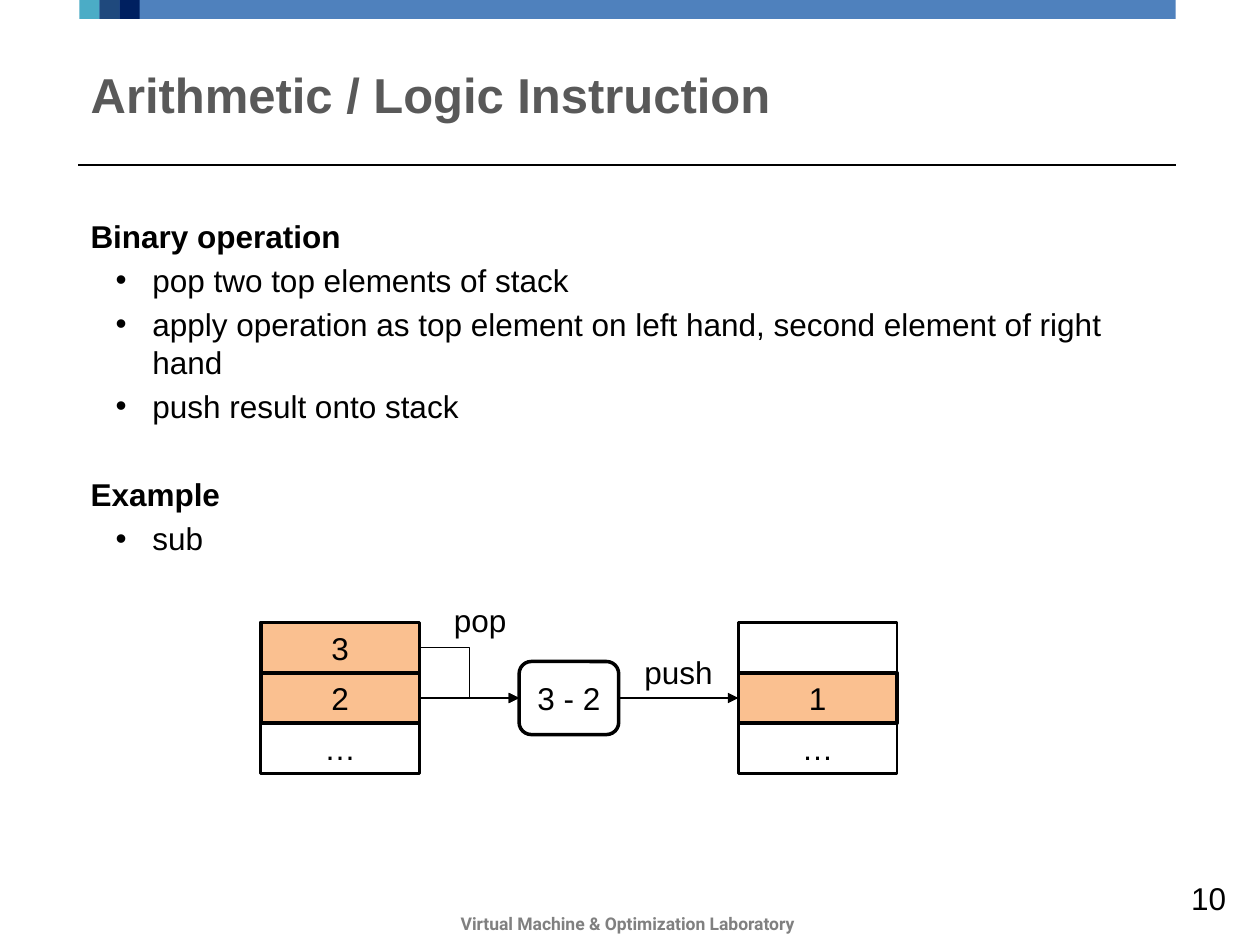
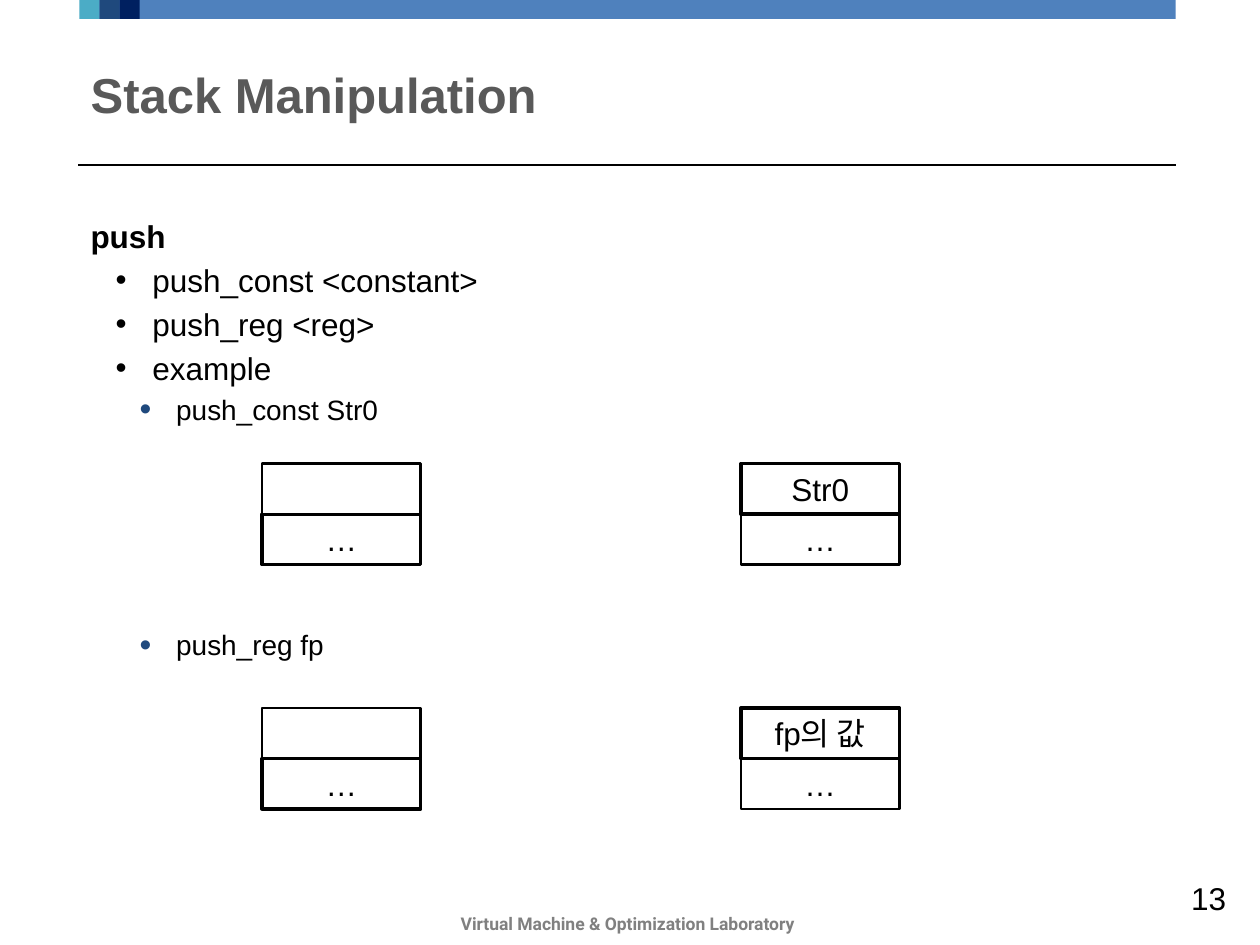
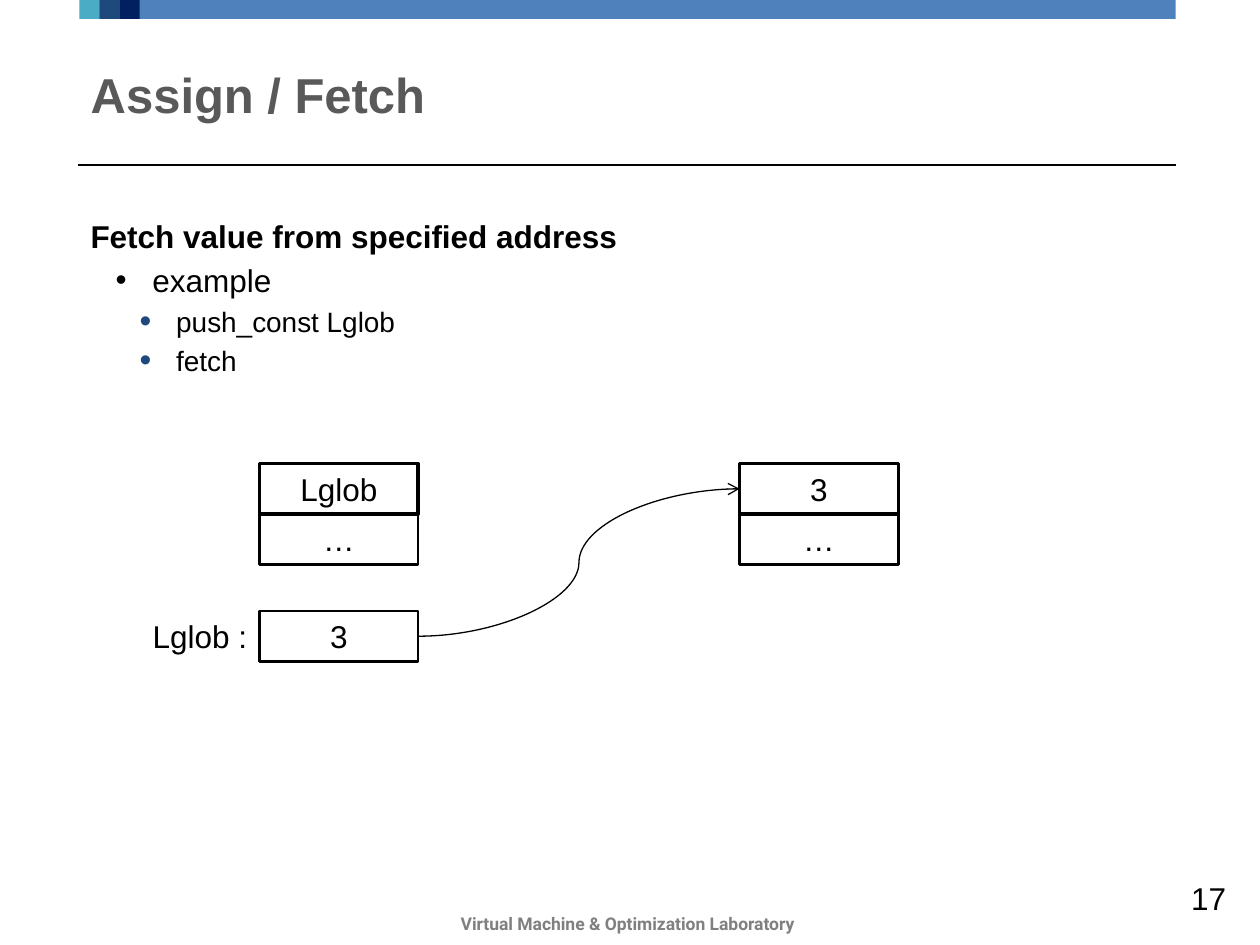
import pptx
import pptx.util
import pptx.dml.color
import pptx.enum.shapes
import pptx.enum.text
import pptx.oxml.ns
from lxml import etree

Inches = pptx.util.Inches
Pt = pptx.util.Pt
RGBColor = pptx.dml.color.RGBColor
SHAPE = pptx.enum.shapes.MSO_SHAPE
CONNECTOR = pptx.enum.shapes.MSO_CONNECTOR
ALIGN = pptx.enum.text.PP_ALIGN
ANCHOR = pptx.enum.text.MSO_ANCHOR
qn = pptx.oxml.ns.qn

BLACK = RGBColor(0x00, 0x00, 0x00)
WHITE = RGBColor(0xFF, 0xFF, 0xFF)
TITLE_GRAY = RGBColor(0x59, 0x59, 0x59)
FOOTER_GRAY = RGBColor(0x80, 0x80, 0x80)
BLUE = RGBColor(0x4F, 0x81, 0xBD)
NAVY = RGBColor(0x00, 0x20, 0x60)
DARK_BLUE = RGBColor(0x1F, 0x49, 0x7D)
TEAL = RGBColor(0x4B, 0xAC, 0xC6)
ORANGE = RGBColor(0xFA, 0xC0, 0x90)

FOOTER = "Virtual Machine & Optimization Laboratory"
LEFT, CONTENT_WIDTH = 0.62, 8.71
SQUARE = 0.16
CELL_WIDTH, CELL_HEIGHT = 1.26, 0.4
THIN, THICK = 1.5, 2
LEFT_SITE, RIGHT_SITE = 1, 3

# Left margin in inches, text size, bold, bullet colour for each outline level
LEVELS = [(0, 18, True, None), (0.49, 18, False, BLACK), (0.68, 16, False, DARK_BLUE)]
HANGING = -0.29


def write(paragraph, text, size=18, font="Arial", color=BLACK, bold=False, align=ALIGN.LEFT):
    """Add formatted text to a paragraph."""
    paragraph.alignment = align
    run = paragraph.add_run()
    run.text = text
    run.font.size = Pt(size)
    run.font.name = font
    run.font.bold = bold
    run.font.color.rgb = color


def set_outline_format(paragraph, level):
    """Give a paragraph its proportional spacing, indent and bullet."""
    margin, _, _, bullet_color = LEVELS[level]
    properties = paragraph._p.get_or_add_pPr()
    if paragraph.space_before is None:
        spacing = etree.SubElement(properties, qn("a:spcBef"))
        etree.SubElement(spacing, qn("a:spcPct"), val="20000")
    if bullet_color is None:
        return
    properties.set("marL", str(Inches(margin)))
    properties.set("indent", str(Inches(HANGING)))
    color = etree.SubElement(properties, qn("a:buClr"))
    etree.SubElement(color, qn("a:srgbClr"), val=str(bullet_color))
    if level == 2:
        etree.SubElement(properties, qn("a:buSzPct"), val="120000")
    etree.SubElement(properties, qn("a:buFont"), typeface="Arial")
    etree.SubElement(properties, qn("a:buChar"), char="•")


class Deck:
    """Holds the presentation, its style and the current slide."""

    def __init__(self):
        """Start an empty presentation."""
        self.presentation = pptx.Presentation()
        self.presentation.slide_width = Inches(10)
        self.presentation.slide_height = Inches(7.5)
        self.slide = None

    def add_slide(self, title, number):
        """Add a slide with its bands, rule, title, footer and number."""
        self.slide = self.presentation.slides.add_slide(self.presentation.slide_layouts[5])
        self.box(0.65, -0.01, 8.68, SQUARE, fill=BLUE)
        for index, color in enumerate([TEAL, DARK_BLUE, NAVY]):
            self.box(0.63 + index * SQUARE, -0.01, SQUARE, SQUARE, fill=color)
        rule = self.slide.shapes.add_connector(
            CONNECTOR.STRAIGHT, Inches(LEFT), Inches(1.31),
            Inches(LEFT + CONTENT_WIDTH), Inches(1.31))
        self.style_line(rule)
        self.title(title)
        self.text(2.93, 7.2, 4.1, 0.27, FOOTER, wrap=True, size=10, font="Roboto",
                  color=FOOTER_GRAY, bold=True, align=ALIGN.CENTER)
        self.text(9.33, 6.93, 0.5, 0.4, str(number), align=ALIGN.RIGHT)

    def title(self, text):
        """Place and format the title placeholder."""
        shape = self.slide.shapes.title
        shape.left, shape.top = Inches(LEFT), Inches(0.37)
        shape.width, shape.height = Inches(CONTENT_WIDTH), Inches(0.75)
        frame = shape.text_frame
        frame.auto_size = pptx.enum.text.MSO_AUTO_SIZE.NONE
        frame.vertical_anchor = ANCHOR.MIDDLE
        write(frame.paragraphs[0], text, size=28, color=TITLE_GRAY, bold=True)

    def text(self, left, top, width, height, text, wrap=False, **text_format):
        """Add a one-paragraph text box."""
        shape = self.slide.shapes.add_textbox(
            Inches(left), Inches(top), Inches(width), Inches(height))
        shape.text_frame.word_wrap = wrap
        write(shape.text_frame.paragraphs[0], text, **text_format)

    def outline(self, items):
        """Add the body text from (level, text, optional points before) items."""
        shape = self.slide.shapes.add_textbox(
            Inches(LEFT), Inches(1.67), Inches(CONTENT_WIDTH), Inches(5.33))
        frame = shape.text_frame
        frame.word_wrap = True
        for index, (level, text, *gap) in enumerate(items):
            paragraph = frame.add_paragraph() if index else frame.paragraphs[0]
            paragraph.level = level
            if gap:
                paragraph.space_before = Pt(gap[0])
            set_outline_format(paragraph, level)
            _, size, bold, _ = LEVELS[level]
            write(paragraph, text, size=size, bold=bold)

    def box(self, left, top, width, height, text="", fill=WHITE, line=None,
            kind=SHAPE.RECTANGLE, anchor=ANCHOR.TOP, wrap=True, align=ALIGN.CENTER):
        """Add a filled shape; line is the outline width in points."""
        shape = self.slide.shapes.add_shape(
            kind, Inches(left), Inches(top), Inches(width), Inches(height))
        shape.shadow.inherit = False
        shape.fill.solid()
        shape.fill.fore_color.rgb = fill
        if line:
            shape.line.color.rgb = BLACK
            shape.line.width = Pt(line)
        else:
            shape.line.fill.background()
        if text:
            shape.text_frame.word_wrap = wrap
            shape.text_frame.vertical_anchor = anchor
            write(shape.text_frame.paragraphs[0], text, align=align)
        return shape

    def stack(self, left, top, cells):
        """Add a column of (text, fill, line) cells; return them from the top down."""
        shapes = []
        for row, (text, fill, line) in reversed(list(enumerate(cells))):
            shapes.insert(0, self.box(left, top + row * CELL_HEIGHT, CELL_WIDTH,
                                      CELL_HEIGHT, text, fill, line))
        return shapes

    def style_line(self, connector, head=None):
        """Make a connector thin and black, with an optional arrowhead."""
        connector.line.color.rgb = BLACK
        connector.line.width = Pt(0.75)
        if head:
            etree.SubElement(connector.line._get_or_add_ln(), qn("a:tailEnd"), type=head)
        etree.SubElement(connector._element.spPr, qn("a:effectLst"))

    def arrow(self, source, target, kind=CONNECTOR.ELBOW, head="triangle"):
        """Join the right side of one shape to the left side of another."""
        connector = self.slide.shapes.add_connector(
            kind, source.left + source.width, source.top + source.height // 2,
            target.left, target.top + target.height // 2)
        connector.begin_connect(source, RIGHT_SITE)
        connector.end_connect(target, LEFT_SITE)
        self.style_line(connector, head)


def arithmetic_slide(deck):
    """Build the slide on binary operations."""
    deck.add_slide("Arithmetic / Logic Instruction", 10)
    deck.outline([
        (0, "Binary operation"),
        (1, "pop two top elements of stack"),
        (1, "apply operation as top element on left hand, second element of right hand"),
        (1, "push result onto stack"),
        (0, "Example", 29),
        (1, "sub"),
    ])
    first, second, _ = deck.stack(
        2.07, 4.94, [("3", ORANGE, THICK), ("2", ORANGE, THICK), ("…", WHITE, THIN)])
    _, result, _ = deck.stack(
        5.86, 4.94, [("", WHITE, THIN), ("1", ORANGE, THICK), ("…", WHITE, THIN)])
    operation = deck.box(4.12, 5.25, 0.79, 0.58, "3 - 2", line=THICK,
                         kind=SHAPE.ROUNDED_RECTANGLE, anchor=ANCHOR.MIDDLE, wrap=False)
    for source, target in [(operation, result), (first, operation), (second, operation)]:
        deck.arrow(source, target)
    deck.text(3.5, 4.72, 0.62, 0.4, "pop", align=ALIGN.CENTER)
    deck.text(5.01, 5.13, 0.75, 0.4, "push", align=ALIGN.CENTER)


def stack_slide(deck):
    """Build the slide on push instructions."""
    deck.add_slide("Stack Manipulation", 13)
    deck.outline([
        (0, "push"),
        (1, "push_const <constant>"),
        (1, "push_reg <reg>"),
        (1, "example"),
        (2, "push_const Str0"),
        (2, "push_reg fp", 115.5),
    ])
    for top, pushed in [(3.68, "Str0"), (5.62, "fp의 값")]:
        deck.stack(2.08, top, [("", WHITE, THIN), ("…", WHITE, THICK)])
        deck.stack(5.88, top, [(pushed, WHITE, THICK), ("…", WHITE, THIN)])


def fetch_slide(deck):
    """Build the slide on fetching a value."""
    deck.add_slide("Assign / Fetch", 17)
    deck.outline([
        (0, "Fetch value from specified address"),
        (1, "example"),
        (2, "push_const Lglob"),
        (2, "fetch"),
    ])
    deck.stack(2.06, 3.68, [("Lglob", WHITE, THICK), ("…", WHITE, THIN)])
    fetched, _ = deck.stack(5.87, 3.68, [("3", WHITE, THICK), ("…", WHITE, THIN)])
    deck.box(0.65, 4.85, 1.41, CELL_HEIGHT, "Lglob :", align=ALIGN.RIGHT)
    variable, = deck.stack(2.06, 4.85, [("3", WHITE, THIN)])
    deck.arrow(variable, fetched, kind=CONNECTOR.CURVE, head="arrow")


def main():
    """Build and save the presentation."""
    deck = Deck()
    arithmetic_slide(deck)
    stack_slide(deck)
    fetch_slide(deck)
    deck.presentation.save("out.pptx")


main()
